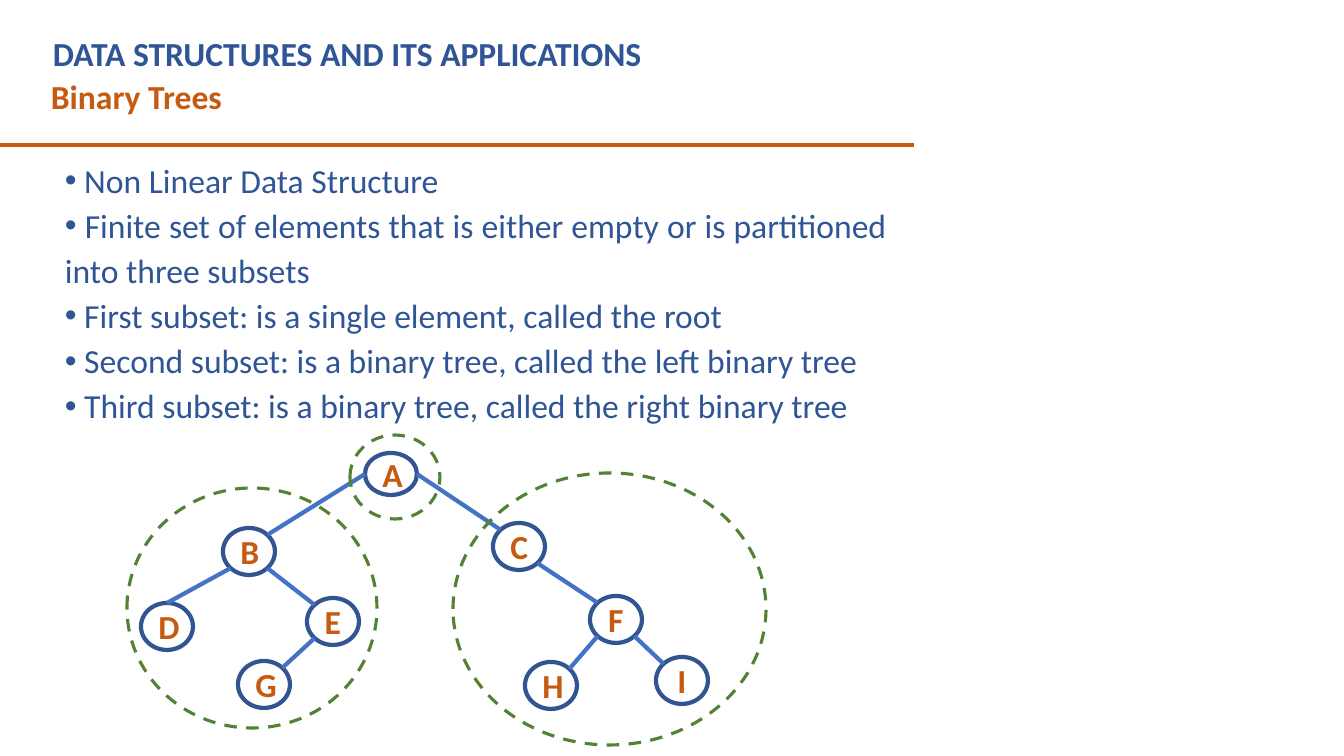
from lxml.etree import SubElement
from pptx import Presentation
from pptx.dml.color import RGBColor
from pptx.enum.dml import MSO_LINE
from pptx.enum.shapes import MSO_CONNECTOR, MSO_SHAPE
from pptx.enum.text import MSO_ANCHOR, PP_ALIGN
from pptx.oxml.ns import qn
from pptx.util import Pt

BLUE, ORANGE, GREEN = "2F5597", "C55A11", "548235"
RING, EDGE, WHITE = "325491", "4472C4", "FFFFFF"

TITLE = "DATA STRUCTURES AND ITS APPLICATIONS"
TOPIC = "Binary Trees"
POINTS = [
    "Non Linear Data Structure",
    "Finite set of elements that is either empty or is partitioned into three subsets",
    "First subset: is a single element, called the root",
    "Second subset: is a binary tree, called the left binary tree",
    "Third subset: is a binary tree, called the right binary tree",
]
# Node name: left, top, height
NODES = {
    "A": (365, 453, 42), "B": (223, 528, 47), "D": (141, 603, 47),
    "E": (307, 598, 47), "G": (238, 661, 47), "C": (493, 523, 47),
    "F": (590, 596, 47), "H": (525, 662, 47), "I": (656, 657, 47),
}
WIDE = 52
# Parent, side it leaves from, child, side it reaches
EDGES = [
    ("A", "W", "B", "NE"), ("B", "SW", "D", "N"), ("B", "SE", "E", "NW"),
    ("E", "SW", "G", "NE"), ("A", "E", "C", "NW"), ("C", "SE", "F", "NW"),
    ("F", "SE", "I", "NW"), ("F", "SW", "H", "NE"),
]
SUBSETS = [(127, 488, 250, 240), (453, 473, 313, 272), (350, 435, 90, 84)]
DIAG = 0.71
SIDES = {
    "N": (0, -1), "W": (-1, 0), "E": (1, 0),
    "NW": (-DIAG, -DIAG), "NE": (DIAG, -DIAG),
    "SW": (-DIAG, DIAG), "SE": (DIAG, DIAG),
}


def px(n):
    return round(n * 914400 / 100.8)


def color(code):
    return RGBColor.from_string(code)


def write(para, text, code, bold):
    run = para.add_run()
    run.text = text
    font = run.font
    font.name, font.size, font.bold = "Calibri", Pt(24), bold
    font.color.rgb = color(code)


def textbox(*area):
    frame = slide.shapes.add_textbox(*map(px, area)).text_frame
    frame.word_wrap = True
    return frame


def oval(area, code, width):
    shape = slide.shapes.add_shape(MSO_SHAPE.OVAL, *map(px, area))
    shape.shadow.inherit = False
    shape.line.color.rgb = color(code)
    shape.line.width = Pt(width)
    return shape


def line(start, end, code):
    link = slide.shapes.add_connector(
        MSO_CONNECTOR.STRAIGHT, *map(px, (*start, *end)))
    link.line.color.rgb = color(code)
    link.line.width = Pt(3)
    SubElement(link._element.spPr, qn("a:effectLst"))


def point(name, side):
    """Place on a node's rim that faces the given side."""
    left, top, high = NODES[name]
    dx, dy = SIDES[side]
    return left + WIDE / 2 * (1 + dx), top + high / 2 * (1 + dy)


deck = Presentation()
deck.slide_width, deck.slide_height = px(1344), px(756)
slide = deck.slides.add_slide(deck.slide_layouts[6])

write(textbox(41, 71, 882, 50).paragraphs[0], TOPIC, ORANGE, True)
line((-1, 145), (914, 145), ORANGE)

body = textbox(55, 155, 842, 280)
body.margin_top = body.margin_bottom = 0
for i, text in enumerate(POINTS):
    para = body.add_paragraph() if i else body.paragraphs[0]
    para.alignment = PP_ALIGN.JUSTIFY
    para.line_spacing = 1.12
    props = para._p.get_or_add_pPr()
    SubElement(props, qn("a:buFont")).set("typeface", "Arial")
    SubElement(props, qn("a:buChar")).set("char", "•")
    write(para, " " + text, BLUE, False)

write(textbox(43, 28, 827, 50).paragraphs[0], TITLE, BLUE, True)

for name, (left, top, high) in NODES.items():
    node = oval((left, top, WIDE, high), RING, 3)
    node.fill.solid()
    node.fill.fore_color.rgb = color(WHITE)
    node.text_frame.vertical_anchor = MSO_ANCHOR.MIDDLE
    para = node.text_frame.paragraphs[0]
    para.alignment = PP_ALIGN.CENTER
    write(para, name, ORANGE, True)

for parent, out, child, into in EDGES:
    line(point(parent, out), point(child, into), EDGE)

for area in SUBSETS:
    loop = oval(area, GREEN, 2.25)
    loop.fill.background()
    loop.line.dash_style = MSO_LINE.DASH

deck.save("out.pptx")
